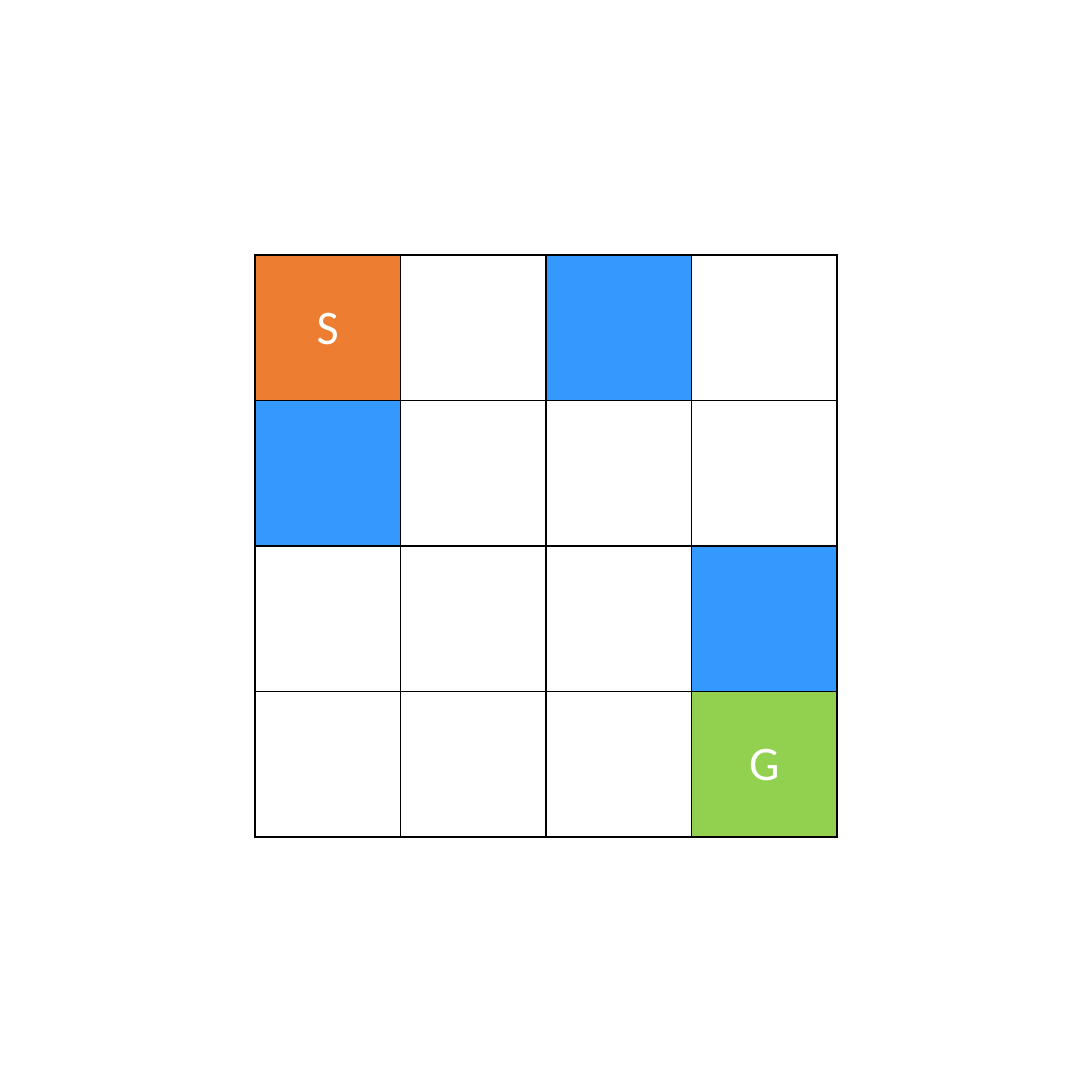
import pptx
import pptx.dml.color
import pptx.enum.text
import pptx.util
from lxml import etree

Pt = pptx.util.Pt
RGBColor = pptx.dml.color.RGBColor

BLACK = RGBColor(0x00, 0x00, 0x00)
WHITE = RGBColor(0xFF, 0xFF, 0xFF)
ORANGE = RGBColor(0xED, 0x7D, 0x31)
BLUE = RGBColor(0x33, 0x99, 0xFF)
GREEN = RGBColor(0x92, 0xD0, 0x50)

SLIDE_SIDE = 612
MAZE_SIDE = 326.4
DRAWING_NS = "http://schemas.openxmlformats.org/drawingml/2006/main"

# S start, G goal, # obstacle, . free
MAZE = ["S.#.",
        "#...",
        "...#",
        "...G"]
SQUARE_COLORS = {"S": ORANGE, "G": GREEN, "#": BLUE}


def outline_square(square, color, width):
    """Draw a solid border on all four sides of a table cell."""
    properties = square._tc.get_or_add_tcPr()
    for side in ("lnL", "lnR", "lnT", "lnB"):
        border = etree.SubElement(properties, f"{{{DRAWING_NS}}}{side}", w=str(Pt(width)))
        fill = etree.SubElement(border, f"{{{DRAWING_NS}}}solidFill")
        etree.SubElement(fill, f"{{{DRAWING_NS}}}srgbClr", val=str(color))


def format_square(square, mark):
    """Outline one square, then colour and label it according to its mark."""
    outline_square(square, BLACK, 1)
    if mark in SQUARE_COLORS:
        square.fill.solid()
        square.fill.fore_color.rgb = SQUARE_COLORS[mark]
    else:
        square.fill.background()
    square.vertical_anchor = pptx.enum.text.MSO_ANCHOR.MIDDLE
    square.margin_left = square.margin_right = Pt(8)
    square.margin_top = square.margin_bottom = Pt(4)
    if mark.isalpha():
        square.text_frame.text = mark
        label = square.text_frame.paragraphs[0]
        label.alignment = pptx.enum.text.PP_ALIGN.CENTER
        font = label.runs[0].font
        font.name = "Calibri"
        font.size = Pt(27)
        font.color.rgb = WHITE


def add_maze(slide, left, top, side):
    """Place the square maze as a table in the given box."""
    count = len(MAZE)
    maze = slide.shapes.add_table(count, count, Pt(left), Pt(top), Pt(side), Pt(side)).table
    maze.first_row = maze.horz_banding = False
    for line in (*maze.columns, *maze.rows):
        if line in maze.columns:
            line.width = Pt(side / count)
        else:
            line.height = Pt(side / count)
    for row, marks in enumerate(MAZE):
        for column, mark in enumerate(marks):
            format_square(maze.cell(row, column), mark)


def main():
    """Build the slide with the maze in its centre."""
    deck = pptx.Presentation()
    deck.slide_width = deck.slide_height = Pt(SLIDE_SIDE)
    slide = deck.slides.add_slide(deck.slide_layouts[6])
    margin = (SLIDE_SIDE - MAZE_SIDE) / 2
    add_maze(slide, margin, margin, MAZE_SIDE)
    deck.save("out.pptx")


main()
